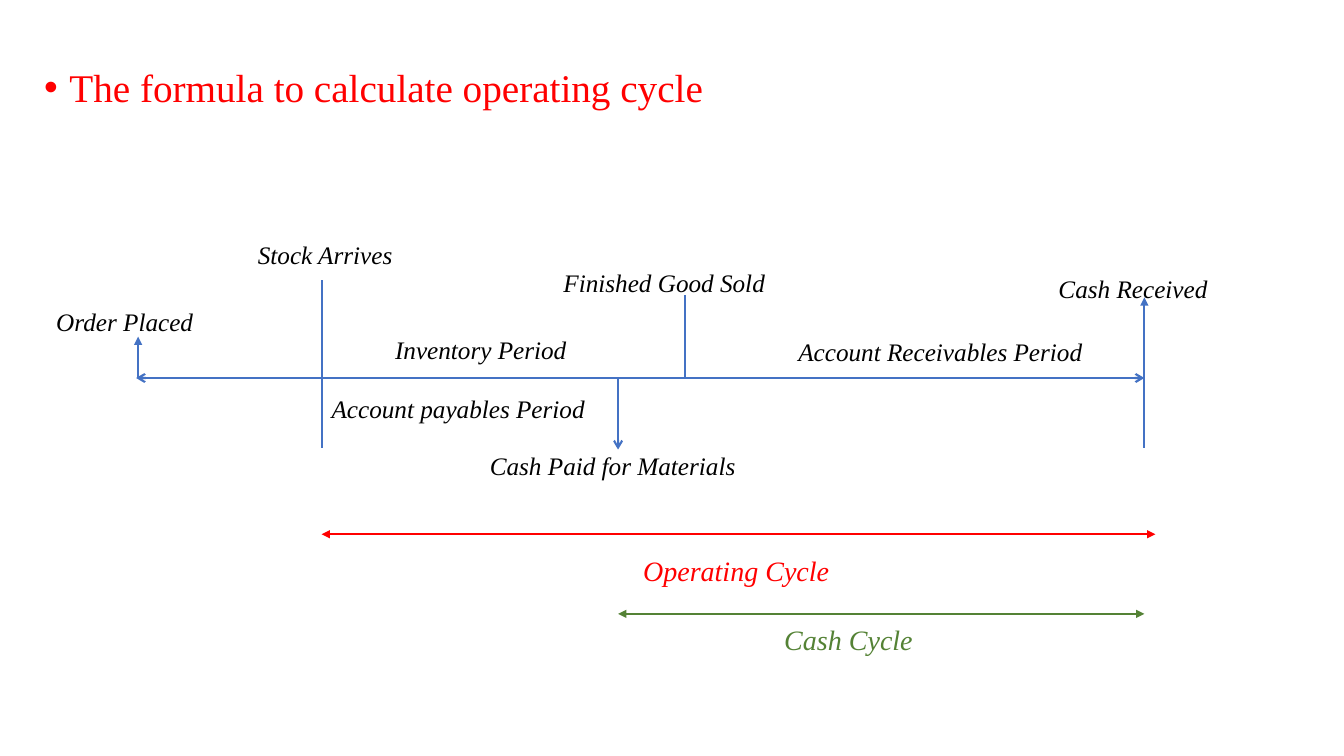
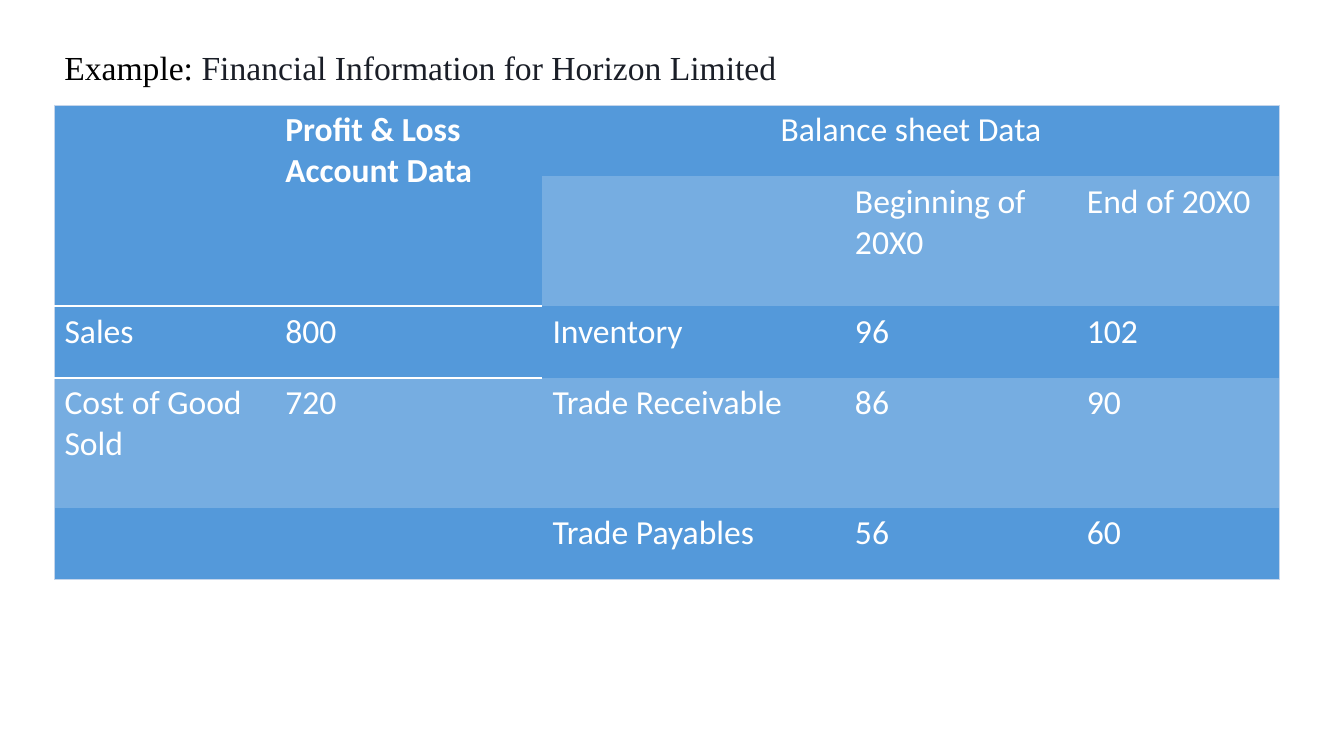
from lxml.etree import SubElement
from pptx import Presentation
from pptx.dml.color import RGBColor
from pptx.enum.shapes import MSO_CONNECTOR as Connector
from pptx.enum.text import MSO_AUTO_SIZE as AutoSize, PP_ALIGN as Align
from pptx.oxml.ns import qn
from pptx.util import Emu, Pt

PX = 9144  # 100 px to the inch

BLACK = RGBColor(0x00, 0x00, 0x00)
WHITE = RGBColor(0xFF, 0xFF, 0xFF)
RED = RGBColor(0xFF, 0x00, 0x00)
GREEN = RGBColor(0x54, 0x82, 0x35)
BLUE = RGBColor(0x44, 0x72, 0xC4)
INK = RGBColor(0x1A, 0x1E, 0x27)
CELL = RGBColor(0x54, 0x99, 0xDA)
CELL_LIGHT = RGBColor(0x76, 0xAD, 0xE1)
EDGE = RGBColor(0xC4, 0xD5, 0xEB)

SERIF, SANS = "Times New Roman", "Calibri"
PLAIN_TABLE = "{2D5ABB26-0587-4C30-8999-92F81FD0307C}"

# Timeline positions
AXIS = 375
ORDER, STOCK, PAID, SOLD, RECEIVED = 137, 319, 613, 679, 1135
ARROW, TRIANGLE = "arrow", "triangle"

# x1, y1, x2, y2, colour, head, tail
LINES = [
    (135, AXIS, RECEIVED, AXIS, BLUE, ARROW, ARROW),
    (STOCK, 278, STOCK, 444, BLUE, None, None),
    (PAID, AXIS, PAID, 446, BLUE, None, ARROW),
    (SOLD, 293, SOLD, AXIS, BLUE, None, None),
    (RECEIVED, 444, RECEIVED, 295, BLUE, None, TRIANGLE),
    (ORDER, AXIS, ORDER, 334, BLUE, None, TRIANGLE),
    (STOCK, 530, 1146, 530, RED, TRIANGLE, TRIANGLE),
    (PAID, 609, RECEIVED, 609, GREEN, TRIANGLE, TRIANGLE),
]

# text, left, top, width
EVENTS = [
    ("Stock Arrives", 246, 233, 180),
    ("Order Placed", 46, 299, 180),
    ("Account Receivables Period", 782, 329, 314),
    ("Cash Paid for Materials", 476, 442, 273),
    ("Cash Received", 1040, 266, 180),
    ("Account payables Period", STOCK, 385, 275),
    ("Inventory Period", 382, 327, 212),
    ("Finished Good Sold", 549, 260, 266),
]

# text, left, top, width, colour
CYCLES = [
    ("Operating Cycle", 628, 544, 281, RED),
    ("Cash Cycle", 768, 613, 180, GREEN),
]

COLUMNS = [219, 265, 300, 230, 201]
ROWS = [71, 129, 71, 129, 71]
FIGURES = [
    ["", "Profit & Loss Account Data", "Balance sheet Data", "", ""],
    ["", "", "", "Beginning of 20X0", "End of 20X0"],
    ["Sales", "800", "Inventory", "96", "102"],
    ["Cost of Good Sold", "720", "Trade Receivable", "86", "90"],
    ["", "", "Trade Payables", "56", "60"],
]
MERGES = [((0, 0), (1, 0)), ((0, 1), (1, 1)), ((0, 2), (0, 4))]


def px(*lengths):
    return [Emu(length * PX) for length in lengths]


def add_run(para, text, size, color, font=SERIF, italic=False, bold=False):
    span = para.add_run()
    span.text = text
    span.font.name, span.font.size = font, Pt(size)
    span.font.italic, span.font.bold = italic, bold
    span.font.color.rgb = color


def add_box(page, left, top, width, height, grow=True):
    """Add a wrapping text box and return its first paragraph."""
    box = page.shapes.add_textbox(*px(left, top, width, height))
    frame = box.text_frame
    frame.word_wrap = True
    frame.auto_size = AutoSize.SHAPE_TO_FIT_TEXT if grow else AutoSize.NONE
    return frame.paragraphs[0]


def add_label(page, text, left, top, width, color=BLACK, size=18):
    para = add_box(page, left, top, width, 40 if size == 18 else 44)
    add_run(para, text, size, color, italic=True)


def add_bullet(page, text):
    para = add_box(page, 34, 35, 1272, 643, grow=False)
    para.line_spacing, para.space_before = 1.5, Pt(10)
    add_run(para, text, 28, RED)
    properties = para._p.get_or_add_pPr()
    properties.set("marL", str(25 * PX))
    properties.set("indent", str(-25 * PX))
    SubElement(properties, qn("a:buFont")).set("typeface", "Arial")
    SubElement(properties, qn("a:buChar")).set("char", "•")


def add_line(page, x1, y1, x2, y2, color, head, tail):
    line = page.shapes.add_connector(Connector.STRAIGHT, *px(x1, y1, x2, y2))
    line.line.color.rgb = color
    line.line.width = Pt(1.5)
    properties = line._element.spPr
    outline = properties.find(qn("a:ln"))
    for end, kind in (("a:headEnd", head), ("a:tailEnd", tail)):
        if kind:
            SubElement(outline, qn(end)).set("type", kind)
    SubElement(properties, qn("a:effectLst"))


def add_border(cell, side, color, points):
    border = SubElement(cell._tc.get_or_add_tcPr(), qn(f"a:ln{side}"))
    border.set("w", str(Pt(points)))
    fill = SubElement(border, qn("a:solidFill"))
    SubElement(fill, qn("a:srgbClr")).set("val", str(color))


def style_cell(cell, row, column):
    """Draw the outer edge and the rule under the header, then the band."""
    if column == 0:
        add_border(cell, "L", EDGE, 0.5)
    if column + cell.span_width == len(COLUMNS):
        add_border(cell, "R", EDGE, 0.5)
    if row == 0:
        add_border(cell, "T", EDGE, 0.5)
    elif row == 2 and column < 2:
        add_border(cell, "T", WHITE, 1.5)
    if row == len(ROWS) - 1:
        add_border(cell, "B", EDGE, 0.5)
    elif column < 2 and row + cell.span_height == 2:
        add_border(cell, "B", WHITE, 1.5)
    cell.fill.solid()
    cell.fill.fore_color.rgb = CELL_LIGHT if row % 2 else CELL


def add_figures(page):
    frame = page.shapes.add_table(len(ROWS), len(COLUMNS),
                                  *px(54, 104, sum(COLUMNS), sum(ROWS)))
    table = frame.table
    table.first_row = table.horz_banding = False
    table._tbl.tblPr.find(qn("a:tableStyleId")).text = PLAIN_TABLE
    for column, width in zip(table.columns, px(*COLUMNS)):
        column.width = width
    for row, height in zip(table.rows, px(*ROWS)):
        row.height = height
    for first, last in MERGES:
        table.cell(*first).merge(table.cell(*last))
    for r, texts in enumerate(FIGURES):
        for c, text in enumerate(texts):
            cell = table.cell(r, c)
            style_cell(cell, r, c)
            if text:
                para = cell.text_frame.paragraphs[0]
                add_run(para, text, 24, WHITE, SANS, bold=(r, c) == (0, 1))
    table.cell(0, 2).text_frame.paragraphs[0].alignment = Align.CENTER


def build_cycle_page(page):
    add_bullet(page, "The formula to calculate operating cycle")
    for line in LINES:
        add_line(page, *line)
    for event in EVENTS:
        add_label(page, *event)
    for cycle in CYCLES:
        add_label(page, *cycle, size=20)


def build_example_page(page):
    add_figures(page)
    heading = add_box(page, 54, 42, 922, 50)
    add_run(heading, "Example: ", 24, BLACK)
    add_run(heading, "Financial Information for Horizon Limited", 24, INK)


def main():
    deck = Presentation()
    deck.slide_width, deck.slide_height = px(1333, 750)
    blank = deck.slide_layouts[6]
    for build in (build_cycle_page, build_example_page):
        build(deck.slides.add_slide(blank))
    deck.save("out.pptx")


if __name__ == "__main__":
    main()
